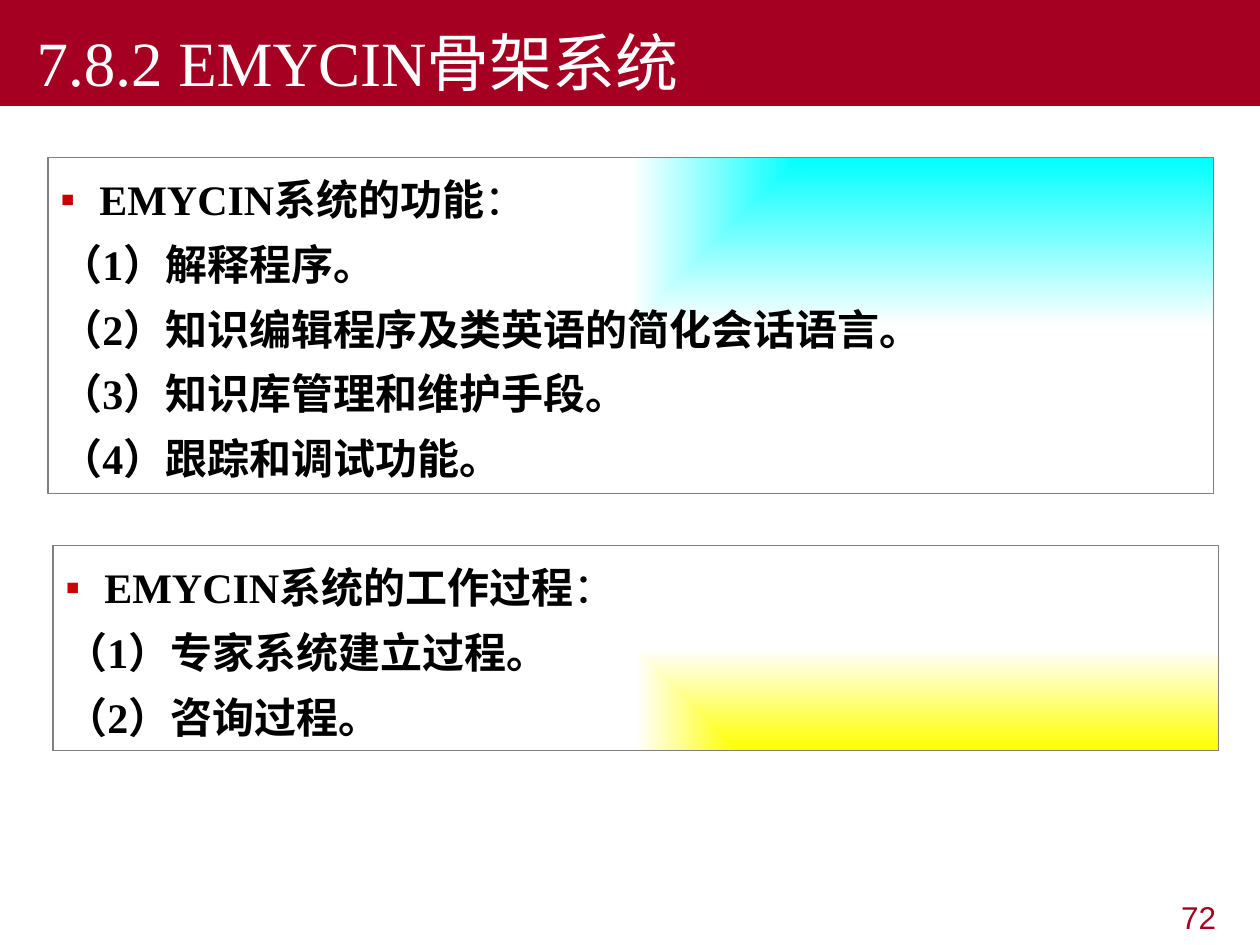
from pptx import Presentation
from pptx.dml.color import RGBColor
from pptx.enum.shapes import MSO_SHAPE as Shape
from pptx.enum.text import MSO_ANCHOR as Anchor, PP_ALIGN as Align
from pptx.oxml import parse_xml
from pptx.oxml.ns import nsdecls
from pptx.util import Inches, Pt

SERIF, HAN = "Times New Roman", "Noto Sans CJK SC"


def color(value):
    return RGBColor.from_string(value)


def style(paragraph, face, size, value, align):
    font = paragraph.font
    font.name, font.size, font.color.rgb = face, Pt(size), color(value)
    paragraph.alignment = align
    properties = paragraph._p.get_or_add_pPr()
    properties.defRPr.append(parse_xml(f'<a:ea {nsdecls("a")} typeface="{HAN}"/>'))
    return properties


deck = Presentation()
deck.slide_width, deck.slide_height = Inches(10), Inches(7.5)
W, H = deck.slide_width, deck.slide_height
slide = deck.slides.add_slide(deck.slide_layouts[5])

heading = slide.shapes.title
heading.left, heading.top, heading.width, heading.height = 0, 0, W, Inches(0.84)
heading.fill.solid()
heading.fill.fore_color.rgb = color("A50021")
heading.text_frame.text = "7.8.2 EMYCIN骨架系统"
heading.text_frame.vertical_anchor = Anchor.BOTTOM
indented = style(heading.text_frame.paragraphs[0], SERIF, 36, "FFFFFF", Align.LEFT)
indented.set("marL", "0")
indented.set("indent", str(Inches(0.19)))

panels = [
    (0.38, 1.25, 2.67, "00FFFF", 'l="100000" b="100000"', "EMYCIN系统的功能",
     ["解释程序。", "知识编辑程序及类英语的简化会话语言。", "知识库管理和维护手段。", "跟踪和调试功能。"]),
    (0.42, 4.33, 1.63, "FFFF00", 'l="100000" t="100000"', "EMYCIN系统的工作过程",
     ["专家系统建立过程。", "咨询过程。"]),
]
for left, top, height, glow, corner, topic, items in panels:
    panel = slide.shapes.add_shape(
        Shape.RECTANGLE, Inches(left), Inches(top), int(W * 0.925), Inches(height))
    panel.shadow.inherit = False
    panel.line.color.rgb = color("808080")
    panel.line.width = Pt(0.75)
    panel._element.spPr.find(".//{*}prstGeom").addnext(parse_xml(
        f'<a:gradFill {nsdecls("a")} rotWithShape="1"><a:gsLst>'
        f'<a:gs pos="0"><a:srgbClr val="{glow}"/></a:gs>'
        '<a:gs pos="100000"><a:srgbClr val="FFFFFF"/></a:gs></a:gsLst>'
        f'<a:path path="rect"><a:fillToRect {corner}/></a:path></a:gradFill>'))

    frame = panel.text_frame
    frame.vertical_anchor = Anchor.TOP
    lines = [topic] + [f"（{number}）{item}" for number, item in enumerate(items, 1)]
    for index, line in enumerate(lines):
        paragraph = frame.add_paragraph() if index else frame.paragraphs[0]
        paragraph.line_spacing = 1.2
        paragraph.space_before = Pt(2.4)
        words = paragraph.add_run()
        words.text = line
        words.font.bold = True
        properties = style(paragraph, SERIF, 24, "000000", Align.JUSTIFY)
        if index == 0:
            colon = paragraph.add_run()
            colon.text = "："
            colon.font.bold = False
            properties.set("marL", str(Inches(0.31)))
            properties.set("indent", str(-Inches(0.31)))
            for bullet in ('<a:buClr {}><a:srgbClr val="CC0000"/></a:buClr>',
                           '<a:buFont {} typeface="Arial"/>',
                           '<a:buChar {} char="▪"/>'):
                properties.defRPr.addprevious(parse_xml(bullet.format(nsdecls("a"))))

page = slide.shapes.add_textbox(Inches(7.58), Inches(7.08), Inches(2.17), Inches(0.39))
page.text_frame.word_wrap = True
page.text_frame.text = "72"
style(page.text_frame.paragraphs[0], "Arial", 18, "A50021", Align.RIGHT)

deck.save("out.pptx")
